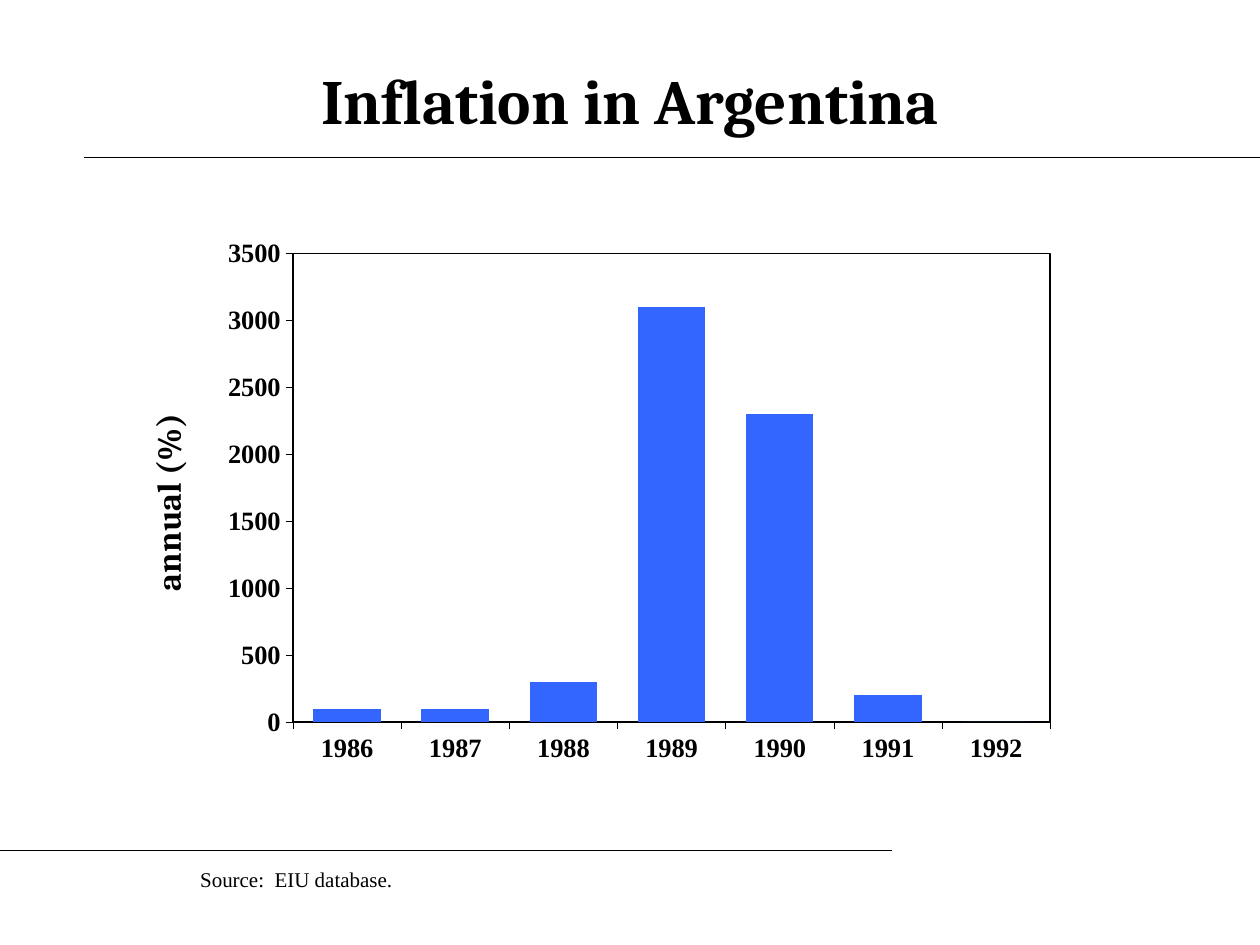
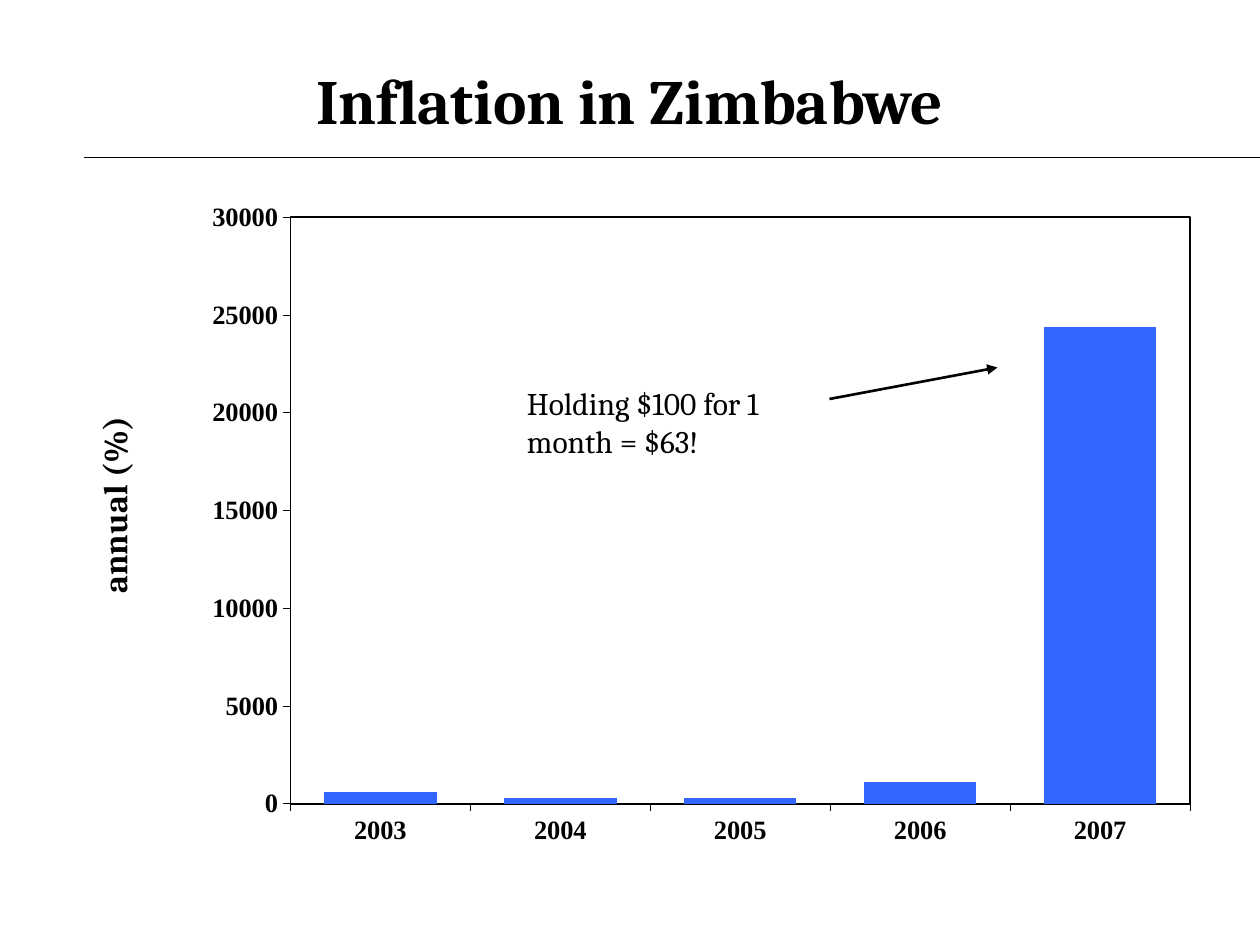
from lxml.etree import SubElement
from pptx import Presentation
from pptx.chart.data import CategoryChartData
from pptx.dml.color import RGBColor
from pptx.enum.chart import XL_CHART_TYPE, XL_TICK_MARK
from pptx.enum.shapes import MSO_CONNECTOR
from pptx.enum.text import MSO_ANCHOR, PP_ALIGN
from pptx.oxml import parse_xml
from pptx.oxml.ns import nsdecls, qn
from pptx.util import Pt

COLORS = {"ink": "000000", "bar": "3366FF"}
HEADING, BODY = "Cambria", "Times New Roman"
WIDTH, HEIGHT = 720, 540


def color(name):
    return RGBColor.from_string(COLORS[name])


def set_layout(parent, **values):
    """Place a chart part by fractions of the chart's width and height."""
    layout = parent.find(qn("c:layout"))
    if layout is None:
        layout = parse_xml(f"<c:layout {nsdecls('c')}/>")
        parent.insert(0, layout)
    manual = SubElement(layout, qn("c:manualLayout"))
    for tag, value in values.items():
        SubElement(manual, qn(f"c:{tag}")).set("val", str(value))


class Deck:
    def __init__(self):
        self.prs = Presentation()
        self.prs.slide_width, self.prs.slide_height = Pt(WIDTH), Pt(HEIGHT)
        self.s = None

    def slide(self, title):
        self.s = self.prs.slides.add_slide(self.prs.slide_layouts[6])
        for left in (48, 90):
            self.line(left, 90, WIDTH, 90)
        self.text(title, (36, 24, 648, 66), 36, bold=True,
                  align=PP_ALIGN.CENTER, anchor=MSO_ANCHOR.MIDDLE)

    def font(self, font, size, name=HEADING, bold=False):
        font.size, font.name, font.bold = Pt(size), name, bold
        font.color.rgb = color("ink")

    def text(self, text, box, size, name=HEADING, bold=False,
             align=PP_ALIGN.LEFT, anchor=MSO_ANCHOR.TOP):
        tf = self.s.shapes.add_textbox(*map(Pt, box)).text_frame
        tf.word_wrap, tf.vertical_anchor = True, anchor
        p = tf.paragraphs[0]
        p.text, p.alignment = text, align
        self.font(p.font, size, name, bold)

    def line(self, x1, y1, x2, y2, width=0.75, arrow=False):
        line = self.s.shapes.add_connector(
            MSO_CONNECTOR.STRAIGHT, Pt(x1), Pt(y1), Pt(x2), Pt(y2))
        line.line.color.rgb, line.line.width = color("ink"), Pt(width)
        sp_pr = line.element.spPr
        if arrow:
            SubElement(sp_pr.find(qn("a:ln")), qn("a:tailEnd")).set("type", "triangle")
        SubElement(sp_pr, qn("a:effectLst"))

    def inflation_chart(self, rates, box, plot_left, plot_width, top, step):
        data = CategoryChartData(number_format="0")
        data.categories = [str(year) for year in rates]
        data.add_series("Series 1", rates.values())
        chart = self.s.shapes.add_chart(
            XL_CHART_TYPE.COLUMN_CLUSTERED, *map(Pt, box), data).chart
        chart.has_title = chart.has_legend = False
        self.font(chart.font, 19.4, BODY, True)

        plot = chart.plots[0]
        plot.gap_width, plot.vary_by_categories = 60, False
        fill = plot.series[0].format.fill
        fill.solid()
        fill.fore_color.rgb = color("bar")

        for axis in (chart.category_axis, chart.value_axis):
            axis.has_major_gridlines = False
            axis.major_tick_mark = XL_TICK_MARK.OUTSIDE
            axis.minor_tick_mark = XL_TICK_MARK.NONE
            axis.format.line.color.rgb = color("ink")
            axis.format.line.width = Pt(0.27)
            self.font(axis.tick_labels.font, 15.1, BODY, True)
        axis = chart.value_axis
        axis.minimum_scale, axis.maximum_scale, axis.major_unit = 0, top, step
        axis.tick_labels.number_format = "0"
        axis.tick_labels.number_format_is_linked = False
        self.axis_title(axis, "annual (%)")
        self.frame_plot(chart, plot_left, plot_width)

    def axis_title(self, axis, text):
        title = axis.axis_title
        p = title.text_frame.paragraphs[0]
        p.text = text
        self.font(p.font, 19.4, HEADING, True)
        body = title.element.find(".//" + qn("a:bodyPr"))
        body.set("rot", "-5400000")
        body.set("vert", "horz")
        set_layout(title.element, xMode="edge", yMode="edge", x=0.03, y=0.33)

    def frame_plot(self, chart, left, width):
        area = chart.element.find(".//" + qn("c:plotArea"))
        set_layout(area, layoutTarget="inner", xMode="edge", yMode="edge",
                   x=left, y=0.067, w=width, h=0.798)
        area.append(parse_xml(
            f'<c:spPr {nsdecls("c", "a")}><a:noFill/><a:ln w="{Pt(1)}"><a:solidFill>'
            f'<a:srgbClr val="{COLORS["ink"]}"/></a:solidFill></a:ln></c:spPr>'))


def main():
    deck = Deck()

    deck.slide("Inflation in Argentina")
    deck.line(0, 486, 510, 486)
    argentina = {1986: 100, 1987: 100, 1988: 300, 1989: 3100,
                 1990: 2300, 1991: 200, 1992: 0}
    deck.inflation_chart(argentina, (64, 122.4, 544.3, 335.5), 0.19, 0.795, 3500, 500)
    deck.text("Source:  EIU database.", (107.3, 491.8, 491.8, 21.6), 12, BODY)

    deck.slide("Inflation in Zimbabwe")
    zimbabwe = {2003: 600, 2004: 300, 2005: 300, 2006: 1100, 2007: 24400}
    deck.inflation_chart(zimbabwe, (30, 96, 660, 420), 0.206, 0.779, 30000, 5000)
    deck.text("Holding $100 for 1 month = $63!", (294, 216, 192, 50.4), 18)
    deck.line(474, 228, 570, 210, 1.5, arrow=True)

    deck.prs.save("out.pptx")


if __name__ == "__main__":
    main()
